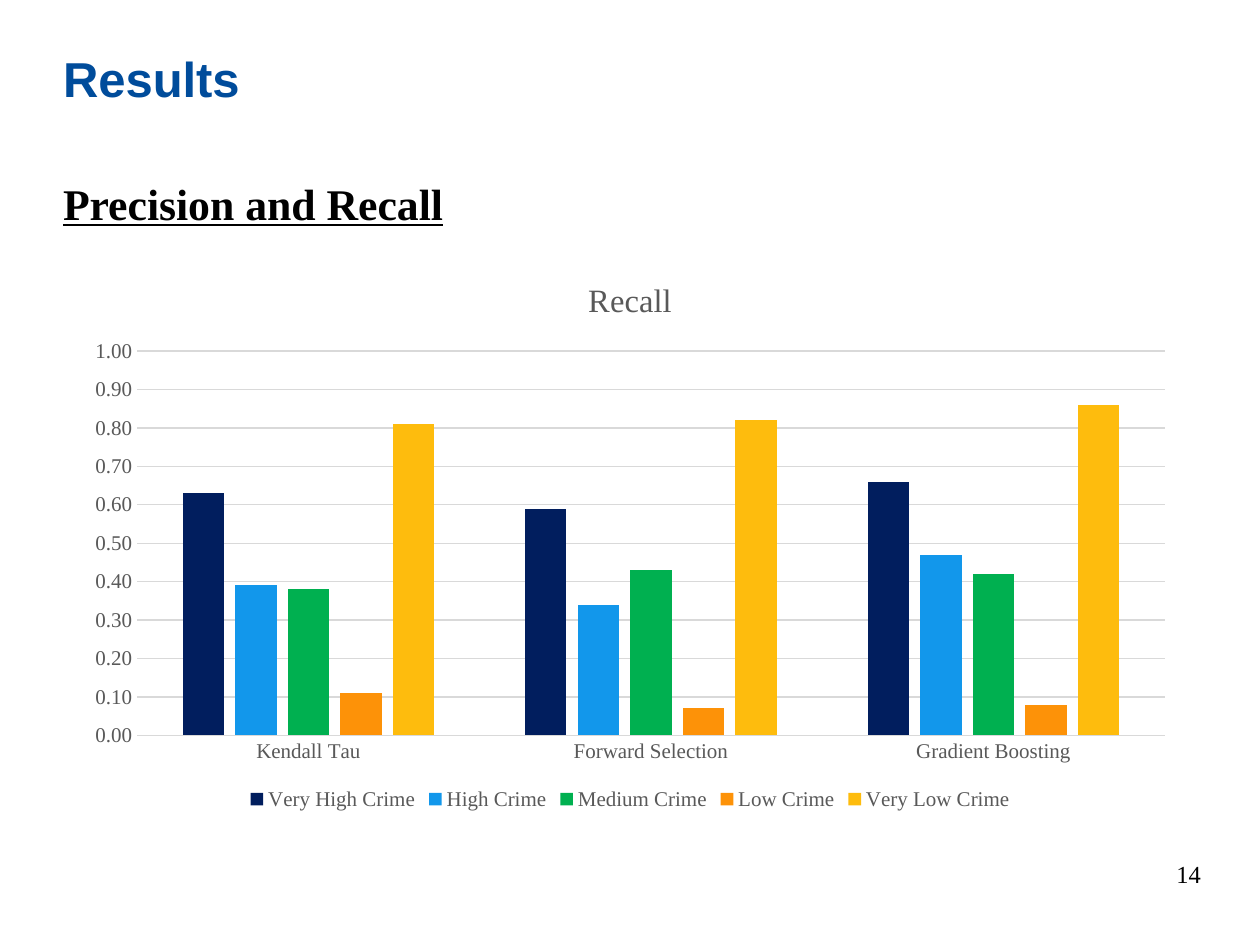
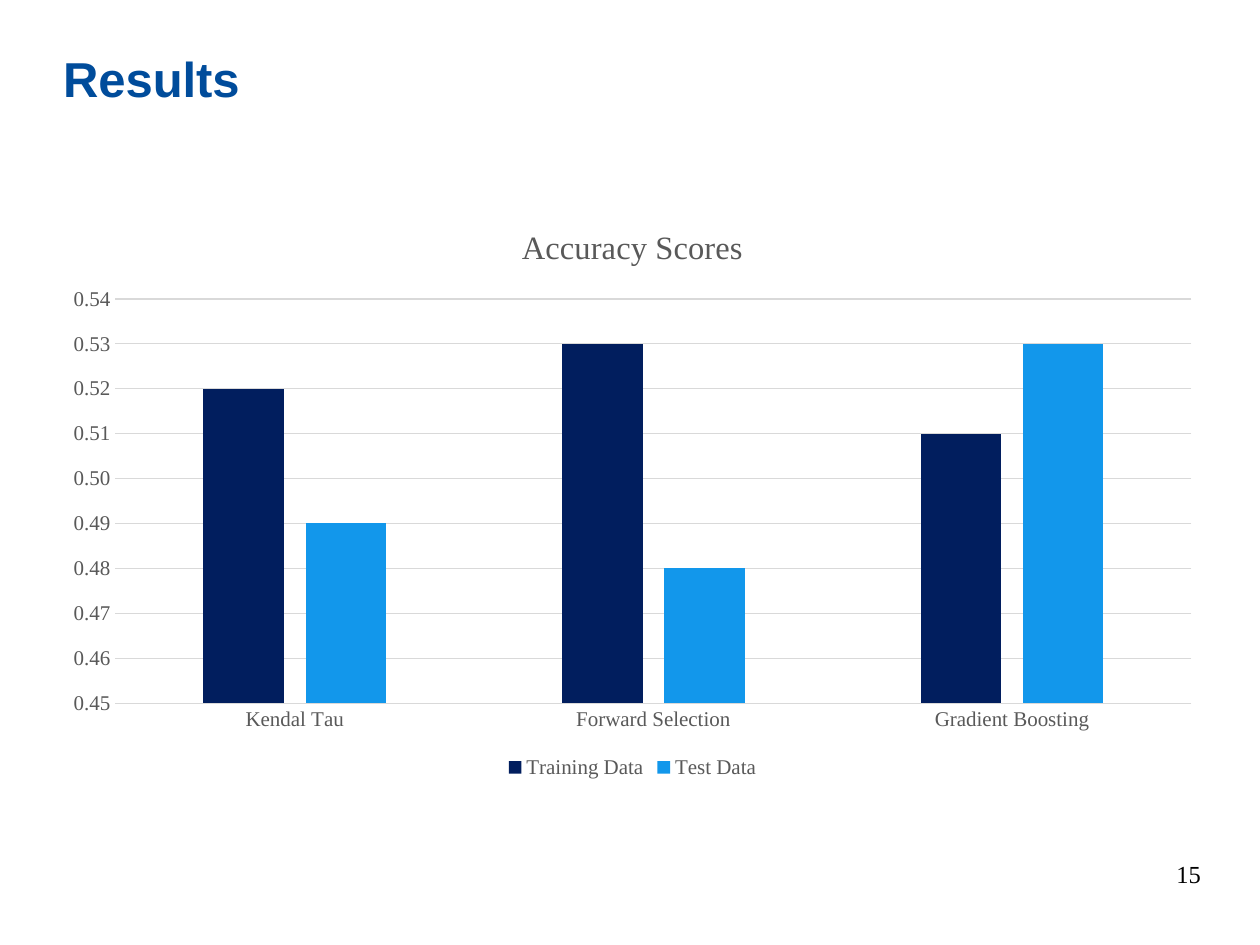
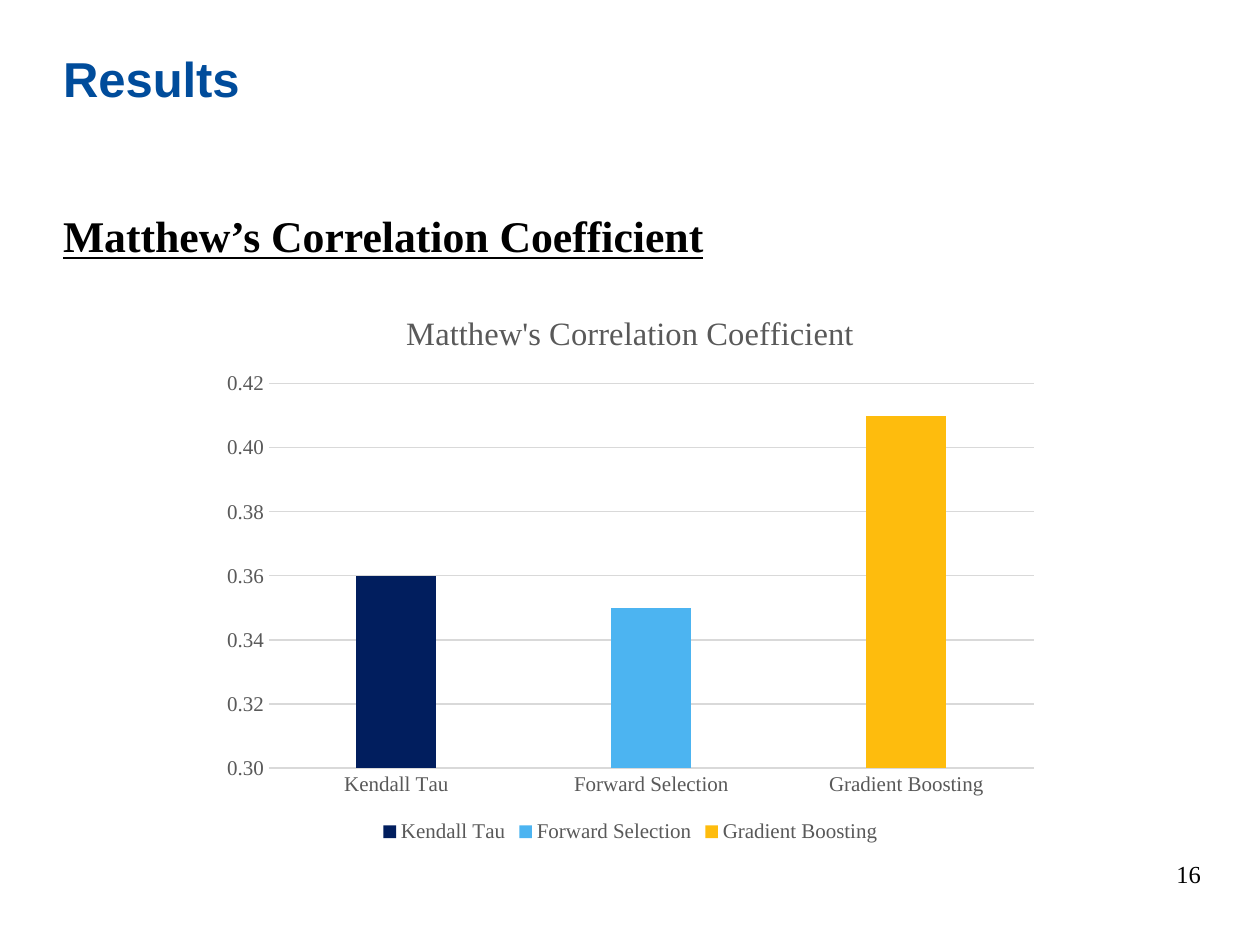
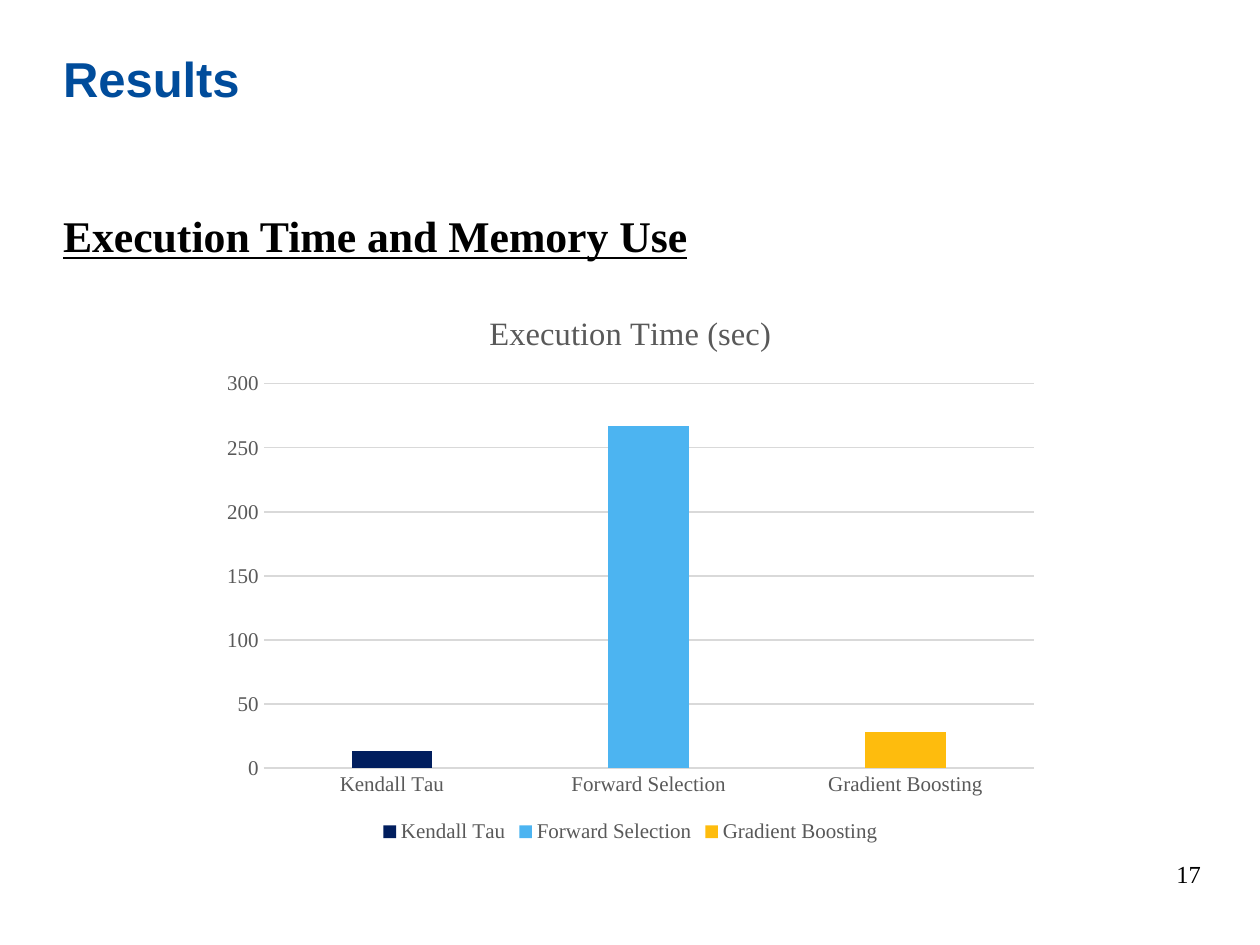
from pptx import Presentation
from pptx.chart.data import CategoryChartData
from pptx.dml.color import RGBColor
from pptx.enum.chart import XL_CHART_TYPE, XL_LEGEND_POSITION, XL_TICK_MARK
from pptx.enum.text import MSO_ANCHOR, MSO_AUTO_SIZE, PP_ALIGN
from pptx.oxml.ns import qn
from pptx.util import Pt

# Shared style
HEADING_FONT, TEXT_FONT = "Arial", "Times New Roman"
BLUE, BLACK, GREY, LIGHT_GREY = "004C9B", "000000", "595959", "D9D9D9"
NAVY, AZURE, SKY, GREEN, ORANGE, YELLOW = (
    "011E5E", "1297EB", "4CB4F1", "00B050", "FD9208", "FEBC0D")
METHODS = ["Kendall Tau", "Forward Selection", "Gradient Boosting"]
METHOD_COLOURS = [NAVY, SKY, YELLOW]

# Boxes: left, top, width, height in points
TITLE_BOX = (28.8, 31, 665.3, 84.2)
HIGH_BODY_BOX = (28.8, 97.2, 665.3, 331.9)
BODY_BOX = (28.8, 115.9, 665.3, 331.9)
NUMBER_BOX = (640.1, 484.6, 53.3, 28.8)
WIDE_CHART_BOX = (41.8, 146.2, 636.5, 319.7)
CHART_BOX = (120.2, 164.9, 480.2, 319.7)


def colour(hex_string):
    return RGBColor.from_string(hex_string)


def style_font(font, size, hex_string, name=TEXT_FONT, bold=False):
    font.name, font.size, font.bold = name, Pt(size), bold
    font.color.rgb = colour(hex_string)


def place(shape, box):
    shape.left, shape.top, shape.width, shape.height = map(Pt, box)


def write(shape, text, size, hex_string, name=TEXT_FONT, bold=False,
          align=PP_ALIGN.LEFT, anchor=MSO_ANCHOR.TOP):
    frame = shape.text_frame
    frame.word_wrap = True
    frame.auto_size = MSO_AUTO_SIZE.NONE
    frame.vertical_anchor = anchor
    para = frame.paragraphs[0]
    para.alignment = align
    para.space_before = Pt(0)
    span = para.add_run()
    span.text = text
    style_font(span.font, size, hex_string, name, bold)
    return para, span


def add_page(deck, number, subtitle=None, body_box=BODY_BOX):
    page = deck.slides.add_slide(deck.slide_layouts[1 if subtitle else 5])
    # Title
    title = page.shapes.title
    place(title, TITLE_BOX)
    para, _ = write(title, "Results", 28, BLUE, HEADING_FONT, True)
    para.line_spacing = Pt(26.6)
    # Underlined subtitle without a bullet
    if subtitle:
        body = page.placeholders[1]
        place(body, body_box)
        para, span = write(body, subtitle, 25, BLACK, bold=True)
        span.font.underline = True
        properties = para._p.get_or_add_pPr()
        properties.set("marL", "0")
        properties.set("indent", "0")
        properties.append(properties.makeelement(qn("a:buNone"), {}))
    # Page number
    box = page.shapes.add_textbox(*map(Pt, NUMBER_BOX))
    write(box, str(number), 14, BLACK, align=PP_ALIGN.RIGHT,
          anchor=MSO_ANCHOR.MIDDLE)
    return page


def fill(part, hex_string):
    part.format.fill.solid()
    part.format.fill.fore_color.rgb = colour(hex_string)


def style_axes(chart, scale, number_format):
    for axis in (chart.category_axis, chart.value_axis):
        axis.major_tick_mark = axis.minor_tick_mark = XL_TICK_MARK.NONE
        style_font(axis.tick_labels.font, 12, GREY)
    values = chart.value_axis
    values.minimum_scale, values.maximum_scale, values.major_unit = scale
    values.tick_labels.number_format = number_format
    values.tick_labels.number_format_is_linked = False
    values.format.line.fill.background()
    values.has_major_gridlines = True
    for line in (chart.category_axis.format.line,
                 values.major_gridlines.format.line):
        line.color.rgb = colour(LIGHT_GREY)
        line.width = Pt(0.75)


def add_column_chart(page, box, title, series, colours, scale,
                     categories=METHODS, number_format="#,##0.00"):
    """Colour by series, or by category when there is only one series."""
    data = CategoryChartData()
    data.categories = categories
    for name, values in series.items():
        data.add_series(name, values)
    chart = page.shapes.add_chart(
        XL_CHART_TYPE.COLUMN_CLUSTERED, *map(Pt, box), data).chart
    style_font(chart.font, 10, BLACK)

    # Title and legend
    chart.has_title = True
    span = chart.chart_title.text_frame.paragraphs[0].add_run()
    span.text = title
    style_font(span.font, 18.6, GREY)
    chart.chart_title.include_in_layout = False
    chart.has_legend = True
    chart.legend.position = XL_LEGEND_POSITION.BOTTOM
    chart.legend.include_in_layout = False
    style_font(chart.legend.font, 12, GREY)
    style_axes(chart, scale, number_format)

    # Columns
    plot = chart.plots[0]
    plot.gap_width, plot.overlap = 219, -27
    plot.vary_by_categories = len(series) == 1
    if plot.vary_by_categories:
        points = plot.series[0].points
        columns = [points[index] for index in range(len(categories))]
    else:
        columns = plot.series
    for column, hex_string in zip(columns, colours):
        fill(column, hex_string)


def main():
    deck = Presentation()
    deck.slide_width, deck.slide_height = Pt(720), Pt(540)

    # Recall
    page = add_page(deck, 14, "Precision and Recall", HIGH_BODY_BOX)
    recall = {
        "Very High Crime": (0.63, 0.59, 0.66),
        "High Crime": (0.39, 0.34, 0.47),
        "Medium Crime": (0.38, 0.43, 0.42),
        "Low Crime": (0.11, 0.07, 0.08),
        "Very Low Crime": (0.81, 0.82, 0.86),
    }
    add_column_chart(page, WIDE_CHART_BOX, "Recall", recall,
                     [NAVY, AZURE, GREEN, ORANGE, YELLOW], (0, 1, 0.1))

    # Accuracy
    page = add_page(deck, 15)
    accuracy = {"Training Data": (0.52, 0.53, 0.51),
                "Test Data": (0.49, 0.48, 0.53)}
    add_column_chart(page, BODY_BOX, "Accuracy Scores", accuracy,
                     [NAVY, AZURE], (0.45, 0.54, 0.01),
                     ["Kendal Tau"] + METHODS[1:])

    # Correlation
    page = add_page(deck, 16, "Matthew’s Correlation Coefficient")
    name = "Matthew's Correlation Coefficient"
    add_column_chart(page, CHART_BOX, name, {name: (0.36, 0.35, 0.41)},
                     METHOD_COLOURS, (0.3, 0.42, 0.02))

    # Execution time
    page = add_page(deck, 17, "Execution Time and Memory Use")
    add_column_chart(page, CHART_BOX, "Execution Time (sec)",
                     {"Series 1": (13, 267, 28)}, METHOD_COLOURS,
                     (0, 300, 50), number_format="General")

    deck.save("out.pptx")


if __name__ == "__main__":
    main()
